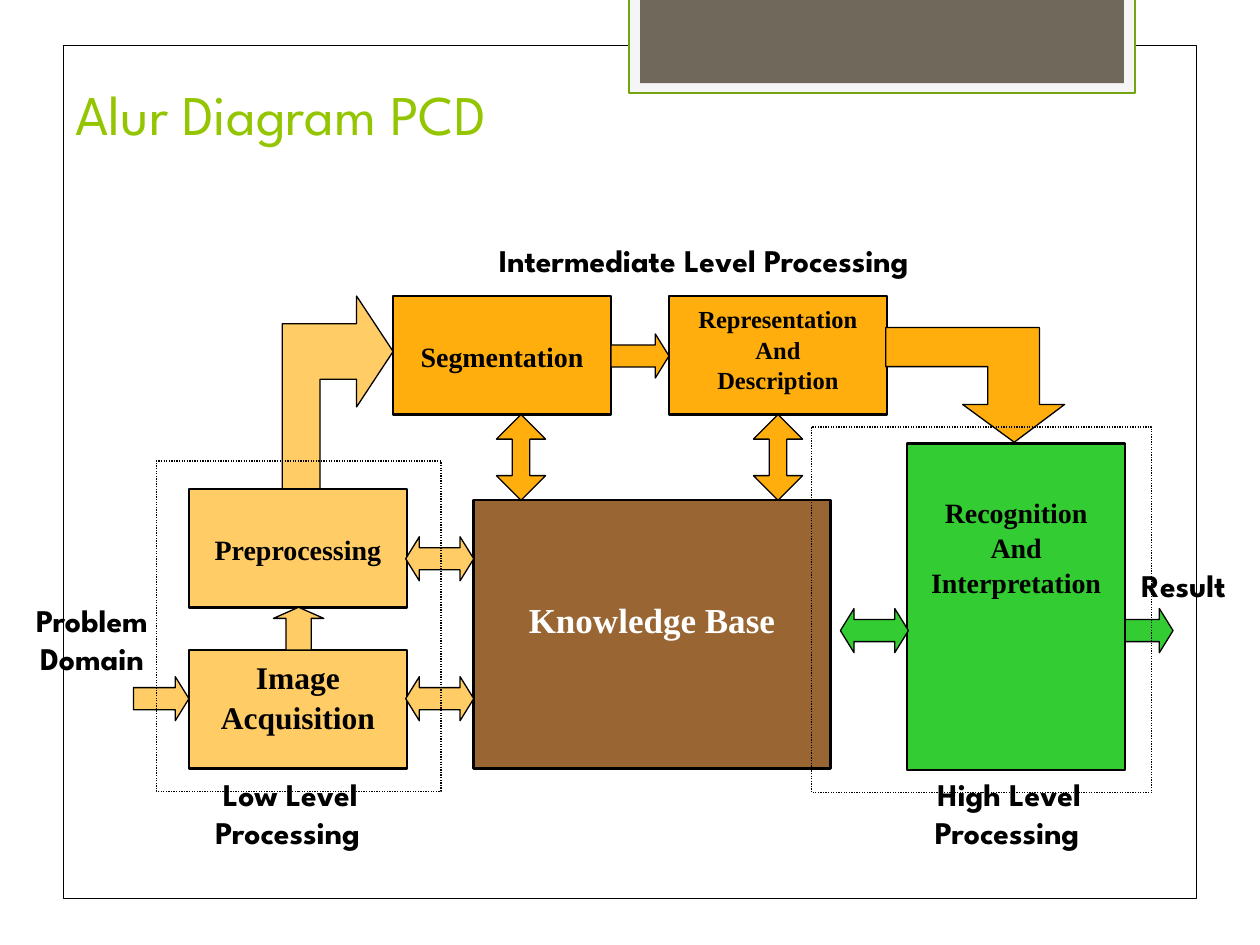
from pptx import Presentation
from pptx.dml.color import RGBColor
from pptx.enum import dml, shapes, text
from pptx.util import Inches, Pt

COLORS = {
    "black": "000000", "white": "FFFFFF", "title": "93C500",
    "tab": "F5F5F5", "tab_line": "74A40F", "tab_core": "70685A",
    "low": "FFCC66", "mid": "FFAE0E", "high": "33CC33", "base": "996633",
}
SHAPE = shapes.MSO_SHAPE


class Diagram:
    """Holds the style and the slide, with a method for each kind of element."""

    label_font = "League Spartan"
    box_font = "Times New Roman"

    def __init__(self, slide):
        self.s = slide

    def color(self, name):
        return RGBColor.from_string(COLORS[name])

    def paint(self, sp, fill=None, line=None, width=0.75):
        sp.shadow.inherit = False
        if fill:
            sp.fill.solid()
            sp.fill.fore_color.rgb = self.color(fill)
        else:
            sp.fill.background()
        if line:
            sp.line.color.rgb = self.color(line)
            sp.line.width = Pt(width)
        else:
            sp.line.fill.background()
        return sp

    def set_text(self, sp, words, font, size, color="black", bold=True,
                 top=0.02, align=text.PP_ALIGN.LEFT, spacing=None, wrap=True):
        tf = sp.text_frame
        tf.text = words
        tf.word_wrap = wrap
        tf.auto_size = text.MSO_AUTO_SIZE.NONE
        tf.vertical_anchor = text.MSO_ANCHOR.TOP
        tf.margin_left = tf.margin_right = tf.margin_bottom = 0
        tf.margin_top = Inches(top)
        p = tf.paragraphs[0]
        p.alignment = align
        if spacing:
            p.line_spacing = spacing
        p.font.name, p.font.size, p.font.bold = font, Pt(size), bold
        p.font.color.rgb = self.color(color)

    def title(self, words, *at):
        sp = self.s.shapes.title
        sp.left, sp.top, sp.width, sp.height = map(Inches, at)
        self.set_text(sp, words, self.label_font, 32, "title", bold=False, wrap=False)

    def label(self, words, *at, align=text.PP_ALIGN.LEFT):
        sp = self.s.shapes.add_textbox(*map(Inches, at))
        self.set_text(sp, words, self.label_font, 18, align=align, wrap=False)

    def shape(self, kind, at, fill=None, line="black", width=0.75, adjust=()):
        sp = self.s.shapes.add_shape(kind, *map(Inches, at))
        for i, value in enumerate(adjust):
            sp.adjustments[i] = value
        return self.paint(sp, fill, line, width)

    def box(self, words, at, fill, size, top, color="black"):
        sp = self.shape(SHAPE.RECTANGLE, at, fill, width=1.5)
        self.set_text(sp, words, self.box_font, size, color, top=top,
                      align=text.PP_ALIGN.CENTER, spacing=1.05)

    def frame(self, *at):
        sp = self.shape(SHAPE.RECTANGLE, at)
        sp.line.dash_style = dml.MSO_LINE.ROUND_DOT

    def outline(self, points, fill, line="black", width=0.75, close=True):
        points = [(Inches(x), Inches(y)) for x, y in points]
        builder = self.s.shapes.build_freeform(*points[0])
        builder.add_line_segments(points[1:], close=close)
        self.paint(builder.convert_to_shape(), fill, line, width)


def main():
    prs = Presentation()
    prs.slide_width, prs.slide_height = Inches(10), Inches(7.5)
    d = Diagram(prs.slides.add_slide(prs.slide_layouts[5]))

    d.shape(SHAPE.RECTANGLE, (0.5, 0.36, 9, 6.77), width=0.5)
    d.outline([(4.99, 0), (4.99, 0.74), (9.01, 0.74), (9.01, 0)],
              "tab", "tab_line", 1.25, close=False)
    d.shape(SHAPE.RECTANGLE, (5.08, 0, 3.84, 0.66), "tab_core", line=None)
    d.title("Alur Diagram PCD", 0.6, 0.61, 3.93, 0.56)

    w, h = 1.73, 0.94
    for words, at, fill, size, top, color in [
        ("Knowledge Base", (3.76, 3.97, 2.83, 2.13), "base", 20, 0.76, "white"),
        ("Segmentation", (3.12, 2.35, w, h), "mid", 16, 0.33, "black"),
        ("Representation\vAnd\vDescription", (5.31, 2.35, w, h), "mid", 14, 0.05, "black"),
        ("Preprocessing", (1.5, 3.88, w, h), "low", 16, 0.33, "black"),
        ("Image\vAcquisition", (1.5, 5.16, w, h), "low", 18, 0.05, "black"),
        ("Recognition\vAnd\vInterpretation", (7.2, 3.52, w, 2.59), "high", 16, 0.4, "black"),
    ]:
        d.box(words, at, fill, size, top, color)

    thick = 0.35
    for kind, left, top, width, fill in [
        (SHAPE.RIGHT_ARROW, 4.85, 2.65, 0.46, "mid"),
        (SHAPE.RIGHT_ARROW, 1.06, 5.37, 0.44, "low"),
        (SHAPE.RIGHT_ARROW, 8.93, 4.83, 0.38, "high"),
        (SHAPE.LEFT_RIGHT_ARROW, 3.22, 4.26, 0.54, "low"),
        (SHAPE.LEFT_RIGHT_ARROW, 3.22, 5.37, 0.54, "low"),
        (SHAPE.LEFT_RIGHT_ARROW, 6.67, 4.83, 0.54, "high"),
    ]:
        d.shape(kind, (left, top, width, thick), fill, adjust=(0.5, 0.31))
    for left in (3.94, 5.98):
        d.shape(SHAPE.UP_DOWN_ARROW, (left, 3.29, 0.39, 0.68), "mid", adjust=(0.5, 0.36))
    d.shape(SHAPE.UP_ARROW, (2.17, 4.82, 0.4, 0.34), "low", adjust=(0.5, 0.26))

    d.outline([(3.12, 2.79), (2.83, 3.23), (2.83, 3.01), (2.54, 3.01), (2.54, 3.88),
               (2.24, 3.88), (2.24, 2.57), (2.83, 2.57), (2.83, 2.35)], "low")
    d.outline([(8.05, 3.51), (7.64, 3.21), (7.84, 3.21), (7.84, 2.91), (7.03, 2.91),
               (7.03, 2.6), (8.25, 2.6), (8.25, 3.21), (8.45, 3.21)], "mid")

    d.frame(1.24, 3.66, 2.26, 2.62)
    d.frame(6.44, 3.39, 2.7, 2.9)

    for words, left, top, width in [
        ("Intermediate Level Processing", 3.96, 1.89, 3.64),
        ("Low Level", 1.77, 6.13, 1.2),
        ("Processing", 1.71, 6.43, 1.32),
        ("High Level", 7.44, 6.13, 1.27),
        ("Processing", 7.42, 6.43, 1.32),
        ("Result", 9.06, 4.47, 0.73),
    ]:
        d.label(words, left, top, width, 0.33)
    d.label("Problem\vDomain", 0.28, 4.75, 0.9, 0.63, align=text.PP_ALIGN.CENTER)

    prs.save("out.pptx")


if __name__ == "__main__":
    main()
